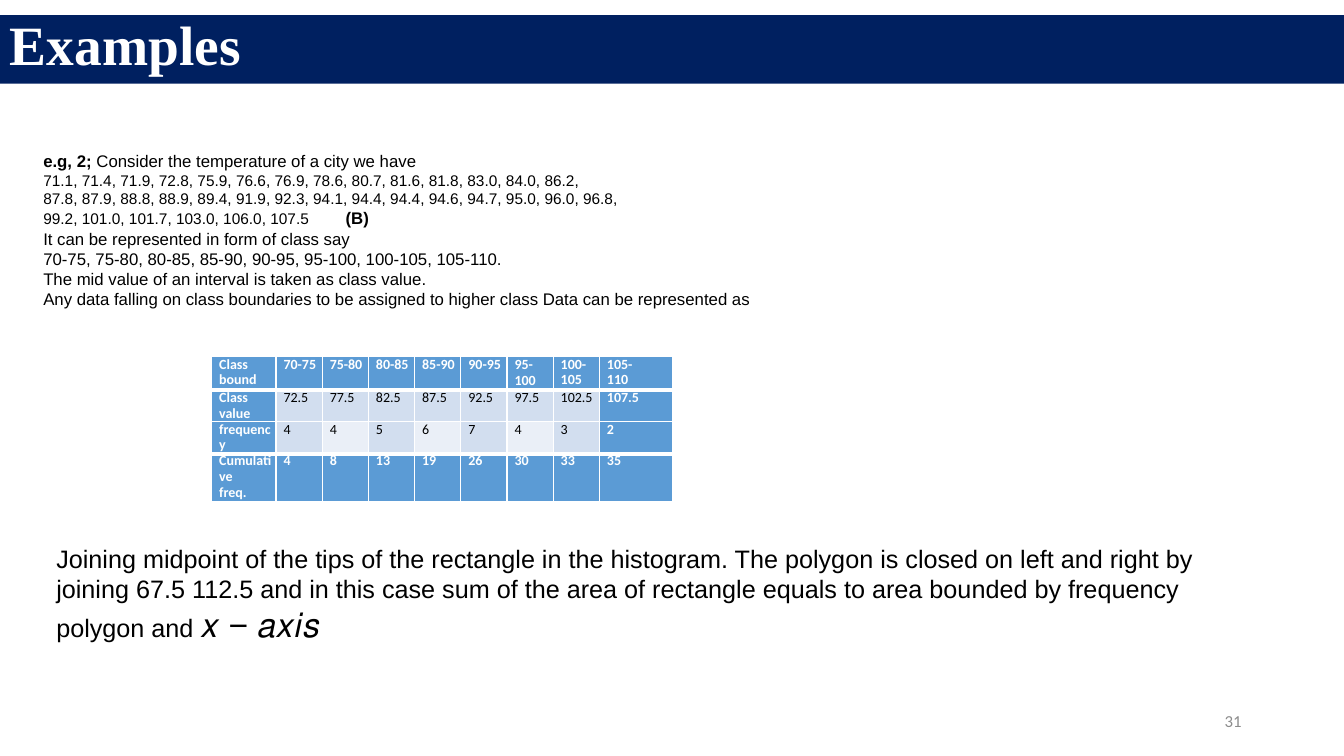
from dataclasses import dataclass, field
from typing import Any, NamedTuple

from lxml.etree import SubElement
from pptx import Presentation
from pptx.dml.color import RGBColor as Rgb
from pptx.enum.shapes import MSO_SHAPE as Shape
from pptx.enum.text import MSO_ANCHOR as Anchor, MSO_AUTO_SIZE as Fit, PP_ALIGN as Align
from pptx.oxml.ns import qn
from pptx.util import Pt


@dataclass(frozen=True)
class Theme:
    navy: str = "002060"
    blue: str = "5B9BD5"
    light: str = "D2DEEF"
    pale: str = "EAEFF7"
    white: str = "FFFFFF"
    black: str = "000000"
    grey: str = "8C8C8C"
    serif: str = "Times New Roman"
    sans: str = "Arial"
    cell: str = "Calibri"
    title: float = 39.6
    body: float = 18
    maths: float = 24
    note: float = 12
    data: float = 11
    small: float = 10


T = Theme()


class Box(NamedTuple):
    left: float
    top: float
    width: float
    height: float

    def points(self) -> list[Pt]:
        return [Pt(side) for side in self]


class Run(NamedTuple):
    text: str
    size: float = T.note
    font: str = T.sans
    color: str = T.black
    bold: bool = False


@dataclass
class Block:
    box: Box
    paras: list[list[Run]]
    frame: dict[str, Any] = field(default_factory=dict)
    para: dict[str, Any] = field(default_factory=dict)
    fill: str = ""
    tab: float = 0


def apply(target: Any, values: dict[str, Any]) -> None:
    for name, value in values.items():
        setattr(target, name, value)


def write(frame: Any, paras: list[list[Run]], style: dict[str, Any]) -> None:
    """Fill a text frame with styled paragraphs."""
    for i, runs in enumerate(paras):
        para = frame.add_paragraph() if i else frame.paragraphs[0]
        apply(para, {"alignment": Align.LEFT, **style})
        for run in runs:
            part = para.add_run()
            part.text = run.text
            apply(part.font, {"size": Pt(run.size), "name": run.font, "bold": run.bold})
            part.font.color.rgb = Rgb.from_string(run.color)


def draw(slide: Any, block: Block) -> None:
    """Draw a filled bar or a plain text box."""
    spot = block.box.points()
    if block.fill:
        shape = slide.shapes.add_shape(Shape.RECTANGLE, *spot)
        shape.shadow.inherit = False
        shape.fill.solid()
        shape.fill.fore_color.rgb = Rgb.from_string(block.fill)
        shape.line.fill.background()
    else:
        shape = slide.shapes.add_textbox(*spot)
    frame = shape.text_frame
    apply(frame, {"word_wrap": True, **block.frame})
    write(frame, block.paras, block.para)
    if block.tab:
        for para in frame.paragraphs:
            stops = SubElement(para._p.get_or_add_pPr(), qn("a:tabLst"))
            SubElement(stops, qn("a:tab"), pos=str(Pt(block.tab)), algn="l")


def edge(cell: Any, widths: dict[str, float]) -> None:
    """Give a cell white borders; must come before its fill."""
    props = cell._tc.get_or_add_tcPr()
    for side, width in widths.items():
        line = SubElement(props, qn(f"a:ln{side}"), w=str(Pt(width)))
        SubElement(SubElement(line, qn("a:solidFill")), qn("a:srgbClr"), val=T.white)


def grid(slide: Any, box: Box, rows: list[list[str]],
         widths: list[float], heights: list[float]) -> None:
    """Draw the class table."""
    table = slide.shapes.add_table(len(rows), len(widths), *box.points()).table
    apply(table, {"first_row": False, "horz_banding": False})
    for col, width in zip(table.columns, widths):
        col.width = Pt(width)
    for row, height in zip(table.rows, heights):
        row.height = Pt(height)

    last_row, last_col = len(rows) - 1, len(widths) - 1
    for r, row in enumerate(rows):
        for c, text in enumerate(row):
            cell = table.cell(r, c)
            head = r in (0, last_row) or c in (0, last_col)
            inner = T.pale if r == 2 and c % 2 == 0 else T.light
            apply(cell, {"margin_left": Pt(5.4), "margin_top": 0,
                         "margin_right": 0, "margin_bottom": 0})
            edge(cell, {"L": 1, "R": 1,
                        "T": 3 if r in (1, last_row) else 1,
                        "B": 3 if r in (0, last_row - 1) else 1})
            cell.fill.solid()
            cell.fill.fore_color.rgb = Rgb.from_string(T.blue if head else inner)
            ink = T.white if head else T.black
            lines = [[Run(line, T.small, T.cell, ink, head)] for line in text.split("\n")]
            write(cell.text_frame, lines, {"line_spacing": Pt(11)})
            cell.text_frame.paragraphs[0].line_spacing = Pt(11.4)


# Heading bar and page number
TITLE = Block(Box(0, 10.8, 960, 49), [[Run("Examples", T.title, T.serif, T.white, True)]],
              {"vertical_anchor": Anchor.MIDDLE}, {"line_spacing": 0.8}, T.navy)
PAGE = Block(Box(678, 500.5, 216, 28.8), [[Run("31", T.note, T.cell, T.grey)]],
             {"vertical_anchor": Anchor.MIDDLE}, {"alignment": Align.RIGHT})

# Worked example
INTRO = Block(
    Box(23.8, 103.7, 766.8, 121),
    [
        [Run("e.g, 2; ", bold=True), Run("Consider the temperature of a city we have")],
        [Run("71.1, 71.4, 71.9, 72.8, 75.9, 76.6, 76.9, 78.6, 80.7, 81.6, 81.8, "
             "83.0, 84.0, 86.2,", T.data)],
        [Run("87.8, 87.9, 88.8, 88.9, 89.4, 91.9, 92.3, 94.1, 94.4, 94.4, 94.6, "
             "94.7, 95.0, 96.0, 96.8,", T.data)],
        [Run("99.2, 101.0, 101.7, 103.0, 106.0, 107.5\t", T.data), Run("(B)", bold=True)],
        [Run("It can be represented in form of class say")],
        [Run("70-75, 75-80, 80-85, 85-90, 90-95, 95-100, 100-105, 105-110.")],
        [Run("The mid value of an interval is taken as class value.")],
        [Run("Any data falling on class boundaries to be assigned to higher class "
             "Data can be represented as")],
    ],
    {"vertical_anchor": Anchor.MIDDLE, "auto_size": Fit.SHAPE_TO_FIT_TEXT},
    tab=216,
)

# Closing remark
CLOSE = Block(
    Box(33.1, 384.5, 854, 80),
    [[Run("Joining midpoint of the tips of the rectangle in the histogram. The polygon is "
          "closed on left and right by joining 67.5 112.5 and in this case sum of the area "
          "of rectangle equals to area bounded by frequency polygon and ", T.body),
      Run("𝑥 − 𝑎𝑥𝑖𝑠", T.maths)]],
    {"auto_size": Fit.SHAPE_TO_FIT_TEXT},
)

# Class table
ROWS = [
    ["Class\nbound", "70-75", "75-80", "80-85", "85-90", "90-95", "95-100",
     "100-\n105", "105-\n110"],
    ["Class value", "72.5", "77.5", "82.5", "87.5", "92.5", "97.5", "102.5", "107.5"],
    ["frequency", "4", "4", "5", "6", "7", "4", "3", "2"],
    ["Cumulative\nfreq.", "4", "8", "13", "19", "26", "30", "33", "35"],
]
WIDTHS = [46, *[33] * 7, 52]
HEIGHTS = [23.6, 21.8, 21.8, 23.6]


def main() -> None:
    deck = Presentation()
    apply(deck, {"slide_width": Pt(960), "slide_height": Pt(540)})
    slide = deck.slides.add_slide(deck.slide_layouts[6])
    for block in (TITLE, PAGE):
        draw(slide, block)
    grid(slide, Box(151.2, 254.9, sum(WIDTHS), sum(HEIGHTS)), ROWS, WIDTHS, HEIGHTS)
    for block in (INTRO, CLOSE):
        draw(slide, block)
    deck.save("out.pptx")


if __name__ == "__main__":
    main()
